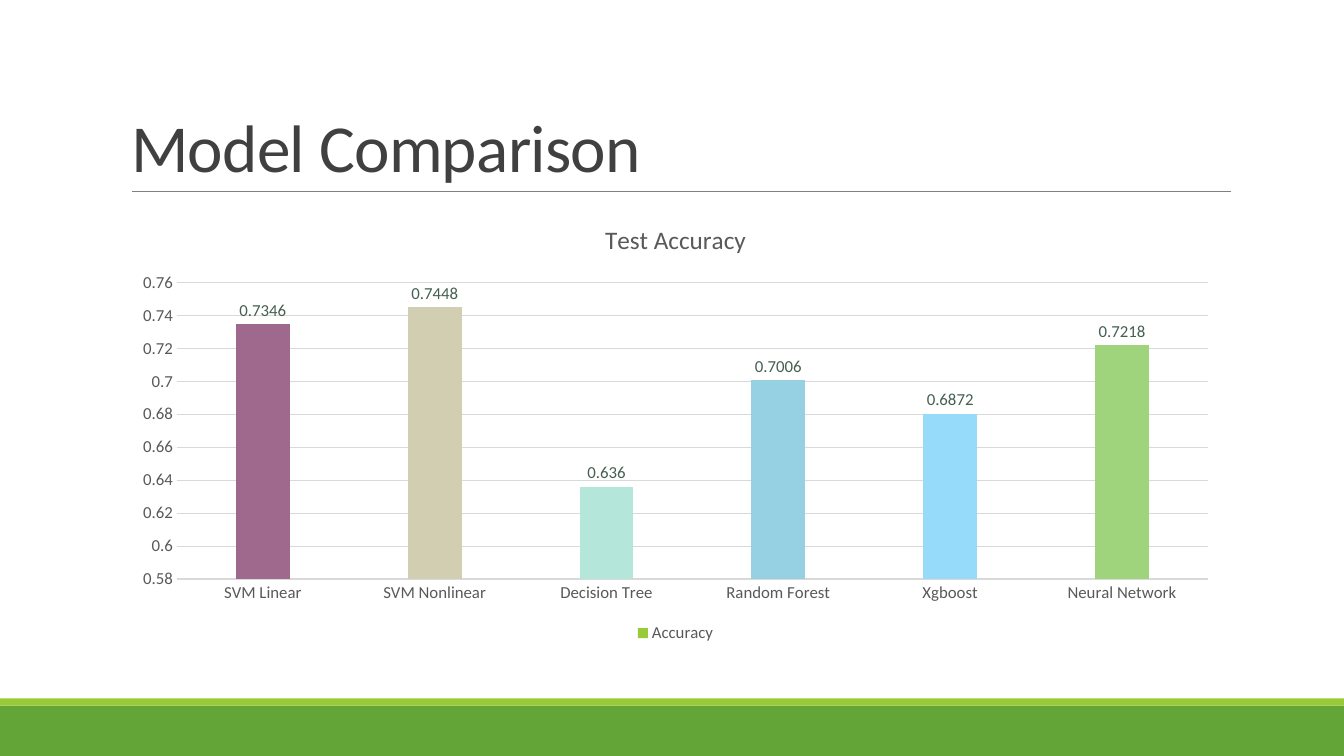
from pptx import Presentation
from pptx.chart.data import CategoryChartData
from pptx.dml.color import RGBColor
from pptx.enum.chart import XL_CHART_TYPE, XL_LABEL_POSITION, XL_LEGEND_POSITION, XL_TICK_MARK
from pptx.enum.shapes import MSO_CONNECTOR, MSO_SHAPE
from pptx.enum.text import MSO_ANCHOR, MSO_AUTO_SIZE, PP_ALIGN
from pptx.oxml.ns import qn
from pptx.util import Inches, Pt
from lxml import etree

FONT = "Calibri"
GREY = "595959"
GRID = "D9D9D9"
LABEL = "455F51"
MODELS = [
    ("SVM Linear", 0.7346, "9F698D"),
    ("SVM Nonlinear", 0.7448, "D2CEB1"),
    ("Decision Tree", 0.636, "B4E6DA"),
    ("Random Forest", 0.7006, "95D1E2"),
    ("Xgboost", 0.6803, "97DBFB"),
    ("Neural Network", 0.7218, "9FD47D"),
]
LABEL_TEXTS = {4: "0.6872"}


def rgb(value):
    """Turn a hex string into a colour."""
    return RGBColor.from_string(value)


def paint(fill, color):
    """Give a fill one solid colour."""
    fill.solid()
    fill.fore_color.rgb = rgb(color)


def style_font(font, size, color):
    """Set typeface, size and colour in regular weight."""
    font.name = FONT
    font.size = Pt(size)
    font.bold = False
    font.color.rgb = rgb(color)


def style_line(line, color, width):
    """Set colour and width of a line."""
    line.color.rgb = rgb(color)
    line.width = Pt(width)


def add_band(slide, top, height, color):
    """Add a full-width band at the foot of the slide."""
    band = slide.shapes.add_shape(
        MSO_SHAPE.RECTANGLE, 0, Inches(top), Inches(13.33), Inches(height))
    band.shadow.inherit = False
    paint(band.fill, color)
    band.line.fill.background()


def add_rule(slide, left, right, top):
    """Add the thin rule below the title."""
    rule = slide.shapes.add_connector(
        MSO_CONNECTOR.STRAIGHT, Inches(left), Inches(top), Inches(right), Inches(top))
    style_line(rule.line, "808080", 0.5)
    etree.SubElement(rule.element.spPr, qn("a:effectLst"))


def set_title(slide, text):
    """Place and format the title placeholder."""
    title = slide.shapes.title
    title.left, title.top = Inches(1.2), Inches(0.31)
    title.width, title.height = Inches(11), Inches(1.59)
    frame = title.text_frame
    frame.text = text
    frame.word_wrap = True
    frame.auto_size = MSO_AUTO_SIZE.NONE
    frame.vertical_anchor = MSO_ANCHOR.BOTTOM
    paragraph = frame.paragraphs[0]
    paragraph.alignment = PP_ALIGN.LEFT
    paragraph.line_spacing = 0.85
    font = paragraph.runs[0].font
    style_font(font, 48, "404040")
    paragraph.runs[0].font._element.set("spc", "-50")


def style_axes(chart):
    """Format both axes, the value range and the gridlines."""
    for axis in (chart.category_axis, chart.value_axis):
        axis.major_tick_mark = axis.minor_tick_mark = XL_TICK_MARK.NONE
        style_font(axis.tick_labels.font, 12, GREY)
    style_line(chart.category_axis.format.line, GRID, 0.75)
    values = chart.value_axis
    values.minimum_scale, values.maximum_scale = 0.58, 0.76
    values.major_unit = 0.02
    values.tick_labels.number_format = "General"
    values.tick_labels.number_format_is_linked = False
    values.format.line.fill.background()
    style_line(values.major_gridlines.format.line, GRID, 0.75)


def style_columns(plot):
    """Colour each column and label it with its accuracy."""
    plot.gap_width = 219
    plot.overlap = -27
    plot.vary_by_categories = False
    series = plot.series[0]
    paint(series.format.fill, "99CB38")
    series.invert_if_negative = False
    labels = series.data_labels
    labels.show_value = True
    labels.position = XL_LABEL_POSITION.OUTSIDE_END
    style_font(labels.font, 12, LABEL)
    for index, (_, _, color) in enumerate(MODELS):
        paint(series.points[index].format.fill, color)
    for index, text in LABEL_TEXTS.items():
        label = series.points[index].data_label
        label.text_frame.text = text
        style_font(label.text_frame.paragraphs[0].runs[0].font, 12, LABEL)
        label.position = XL_LABEL_POSITION.OUTSIDE_END


def add_accuracy_chart(slide):
    """Add the column chart of test accuracy by model."""
    data = CategoryChartData()
    data.categories = [name for name, _, _ in MODELS]
    data.add_series("Accuracy", [accuracy for _, accuracy, _ in MODELS])
    chart = slide.shapes.add_chart(
        XL_CHART_TYPE.COLUMN_CLUSTERED,
        Inches(1.2), Inches(2.02), Inches(11), Inches(4.4), data).chart
    style_font(chart.font, 10, "000000")
    chart.has_title = True
    chart.chart_title.include_in_layout = False
    chart.chart_title.text_frame.text = "Test Accuracy"
    style_font(chart.chart_title.text_frame.paragraphs[0].runs[0].font, 18, GREY)
    chart.has_legend = True
    chart.legend.position = XL_LEGEND_POSITION.BOTTOM
    chart.legend.include_in_layout = False
    style_font(chart.legend.font, 12, GREY)
    style_axes(chart)
    style_columns(chart.plots[0])


def main():
    """Build the model comparison slide."""
    deck = Presentation()
    deck.slide_width, deck.slide_height = Inches(13.33), Inches(7.5)
    slide = deck.slides.add_slide(deck.slide_layouts[5])
    add_band(slide, 7, 0.5, "63A537")
    add_band(slide, 6.93, 0.07, "99CB38")
    add_rule(slide, 1.31, 12.21, 1.9)
    set_title(slide, "Model Comparison")
    add_accuracy_chart(slide)
    deck.save("out.pptx")


main()
